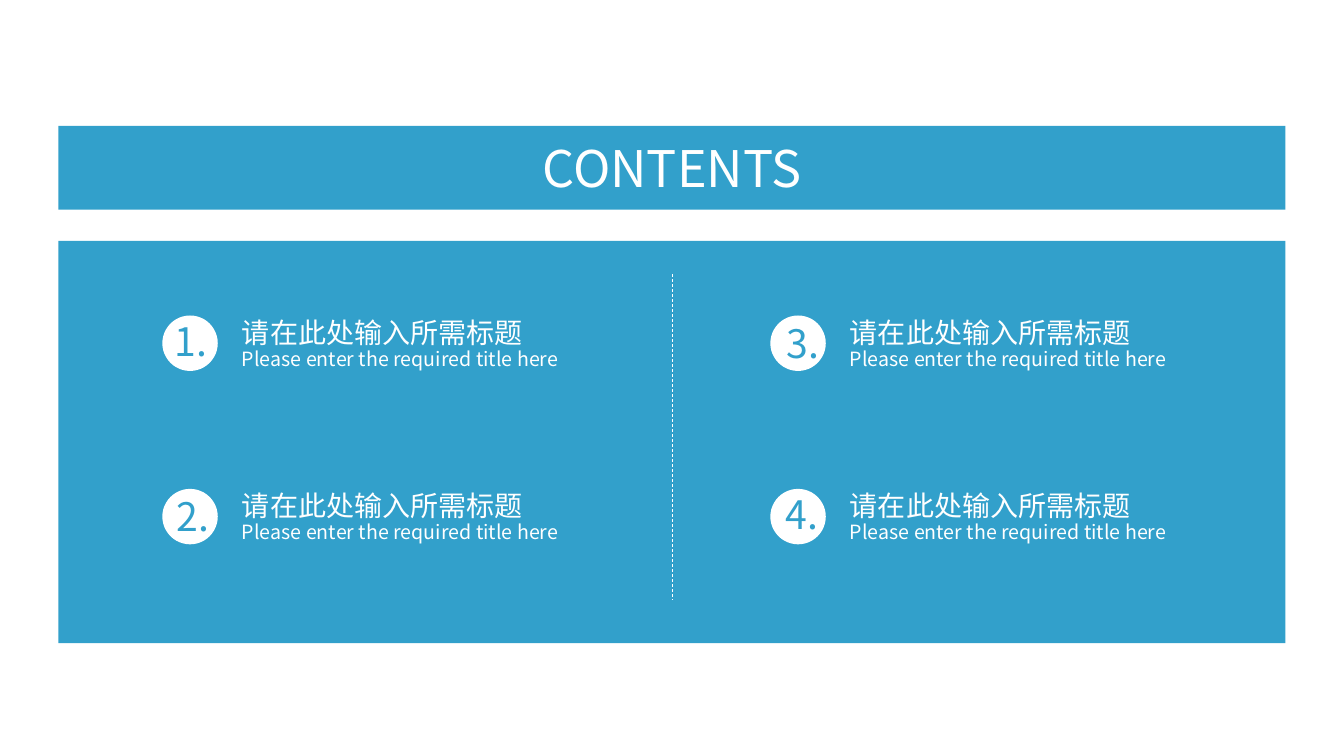
from lxml.etree import SubElement
from pptx import Presentation
from pptx.dml.color import RGBColor
from pptx.enum.dml import MSO_LINE as Dash
from pptx.enum.shapes import MSO_CONNECTOR as Link, MSO_SHAPE as Kind
from pptx.enum.text import MSO_AUTO_SIZE as Fit, PP_ALIGN as Align
from pptx.oxml.ns import qn
from pptx.util import Inches, Pt

BLUE = RGBColor(0x32, 0xA0, 0xCB)
WHITE = RGBColor(0xFF, 0xFF, 0xFF)
FONT = "Noto Sans CJK SC"
HEAD = "请在此处输入所需标题"
SUB = "Please enter the required title here"
NUDGES = [(0.02, 0.02), (0.04, 0.03), (0.06, 0.04), (0.05, 0.01)]


def put(shapes, kind, box, color):
    shape = shapes.add_shape(kind, *map(Inches, box))
    shape.shadow.inherit = False
    shape.fill.solid()
    shape.fill.fore_color.rgb = color
    shape.line.fill.background()


def write(shapes, text, box, size, color, align):
    frame = shapes.add_textbox(*map(Inches, box)).text_frame
    frame.margin_left = frame.margin_right = 0
    frame.margin_top = frame.margin_bottom = 0
    frame.word_wrap = True
    frame.auto_size = Fit.SHAPE_TO_FIT_TEXT
    frame.text = text
    para = frame.paragraphs[0]
    para.alignment = align
    font = para.runs[0].font
    font.name, font.size = FONT, Pt(size)
    font.color.rgb = color
    SubElement(para.runs[0]._r.get_or_add_rPr(), qn("a:ea"), typeface=FONT)


def banner(shapes, left, top, wide, high):
    put(shapes, Kind.RECTANGLE, (left, top, wide, high), BLUE)
    box = (left + (wide - 2.86) / 2, top + 0.11, 2.86, 0.61)
    write(shapes, "CONTENTS", box, 36, WHITE, Align.CENTER)


def entry(shapes, left, top, num, nudge):
    put(shapes, Kind.OVAL, (left, top, 0.55, 0.55), WHITE)
    pair = shapes.add_group_shape().shapes
    write(pair, HEAD, (left + 0.79, top, 3.29, 0.34), 20, WHITE, Align.JUSTIFY)
    write(pair, SUB, (left + 0.79, top + 0.31, 3.29, 0.24), 14, WHITE, Align.JUSTIFY)
    box = (left + nudge[0], top + nudge[1], 0.53, 0.47)
    write(shapes, f"{num}.", box, 28, BLUE, Align.CENTER)


def panel(shapes, left, top, wide, high):
    put(shapes, Kind.RECTANGLE, (left, top, wide, high), BLUE)
    for i, nudge in enumerate(NUDGES):
        col, row = divmod(i, 2)
        entry(shapes, left + 1.03 + col * 6.03, top + 0.74 + row * 1.72, i + 1, nudge)
    mid = Inches(left + wide / 2)
    line = shapes.add_connector(
        Link.STRAIGHT, mid, Inches(top + 0.33), mid, Inches(top + 3.56))
    line.line.color.rgb = WHITE
    line.line.width = Pt(0.5)
    line.line.dash_style = Dash.DASH
    SubElement(line._element.spPr, qn("a:effectLst"))


def main():
    deck = Presentation()
    deck.slide_width, deck.slide_height = Inches(13.33), Inches(7.5)
    shapes = deck.slides.add_slide(deck.slide_layouts[6]).shapes
    banner(shapes, 0.58, 1.25, 12.17, 0.83)
    panel(shapes, 0.58, 2.39, 12.17, 3.99)
    deck.save("out.pptx")


if __name__ == "__main__":
    main()
